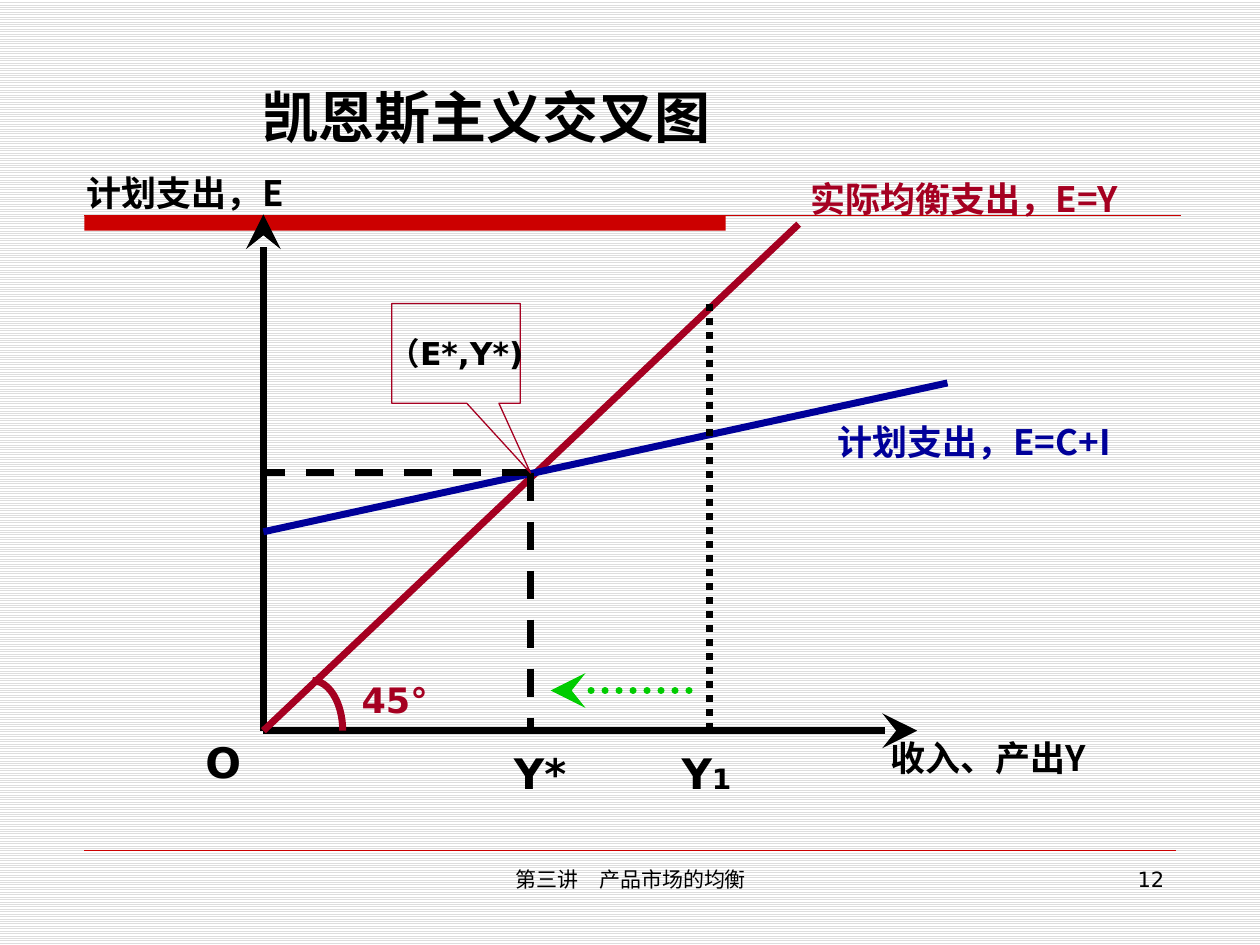
import pptx
import pptx.util
import pptx.oxml.ns
import pptx.dml.color
import pptx.enum.dml
import pptx.enum.shapes
import pptx.enum.text
from lxml import etree

Cm = pptx.util.Cm
RGBColor = pptx.dml.color.RGBColor
SHAPE = pptx.enum.shapes.MSO_SHAPE
ALIGN = pptx.enum.text.PP_ALIGN
ANCHOR = pptx.enum.text.MSO_ANCHOR
DASH = pptx.enum.dml.MSO_LINE
qn = pptx.oxml.ns.qn

BLACK = RGBColor(0x00, 0x00, 0x00)
WHITE = RGBColor(0xFF, 0xFF, 0xFF)
STRIPE = RGBColor(0xDD, 0xDD, 0xDD)
RED = RGBColor(0xCC, 0x00, 0x00)
CRIMSON = RGBColor(0xA5, 0x00, 0x21)
BLUE = RGBColor(0x00, 0x00, 0x99)
GREEN = RGBColor(0x00, 0xCC, 0x00)

SANS = "DejaVu Sans"
CJK = "Noto Sans CJK SC"

# Key points of the diagram, in cm
X0, Y0 = 5.31, 14.73            # origin
X_EQ, Y_EQ = 10.69, 9.53        # equilibrium
X_1 = 14.3                      # output Y1
ARC_W, ARC_H = 0.61, 1.01       # radii of the angle mark


def set_background(s):
    fill = s.background.fill
    fill.patterned()
    fill.pattern = pptx.enum.dml.MSO_PATTERN.LIGHT_HORIZONTAL
    fill.fore_color.rgb = STRIPE
    fill.back_color.rgb = WHITE


def add_line(s, start, end, color, width=4, dash=None, arrow=False, round_cap=False):
    c = s.shapes.add_connector(pptx.enum.shapes.MSO_CONNECTOR.STRAIGHT,
                               *(Cm(v) for v in start + end))
    c.line.color.rgb = color
    c.line.width = pptx.util.Pt(width)
    if dash is not None:
        c.line.dash_style = dash
    ln = c.line._get_or_add_ln()
    if round_cap:
        ln.set("cap", "rnd")
    if arrow:
        etree.SubElement(ln, qn("a:tailEnd"), type="stealth", w="lg", len="lg")
    etree.SubElement(c._element.spPr, qn("a:effectLst"))
    return c


def add_outline(s, kind, box, color=None, width=0.75, fill=None):
    sp = s.shapes.add_shape(kind, *(Cm(v) for v in box))
    sp.shadow.inherit = False
    if fill is None:
        sp.fill.background()
    else:
        sp.fill.solid()
        sp.fill.fore_color.rgb = fill
    if color is None:
        sp.line.fill.background()
    else:
        sp.line.color.rgb = color
        sp.line.width = pptx.util.Pt(width)
    return sp


def write_text(sp, runs, font=SANS, color=BLACK, bold=True, align=ALIGN.LEFT,
               anchor=ANCHOR.TOP, wrap=True):
    tf = sp.text_frame
    for name, value in {"word_wrap": wrap, "vertical_anchor": anchor}.items():
        setattr(tf, name, value)
    p = tf.paragraphs[0]
    p.alignment = align
    for text, size in runs:
        r = p.add_run()
        r.text = text
        formats = {"name": font, "size": pptx.util.Pt(size), "bold": bold}
        for name, value in formats.items():
            setattr(r.font, name, value)
        r.font.color.rgb = color
        etree.SubElement(r._r.get_or_add_rPr(), qn("a:ea"), typeface=font)


def add_label(s, box, runs, **formats):
    sp = s.shapes.add_textbox(*(Cm(v) for v in box))
    write_text(sp, runs, **formats)


def add_frame(s):
    # Title with the bar below it, and the footer
    add_outline(s, SHAPE.RECTANGLE, (1.7, 4.34, 12.93, 0.31), fill=RED)
    add_line(s, (1.7, 4.34), (23.8, 4.34), RED, 0.75)
    add_line(s, (1.7, 17.15), (23.7, 17.15), RED, 0.25)
    add_label(s, (1.5, 1.04, 16.61, 2.11), [("凯恩斯主义交叉图", 32)],
              font=CJK, align=ALIGN.CENTER, anchor=ANCHOR.BOTTOM)
    add_label(s, (8.69, 17.35, 8.05, 1.32), [("第三讲　产品市场的均衡", 12)],
              bold=False, align=ALIGN.CENTER)
    add_label(s, (18.21, 17.35, 5.51, 1.32), [("12", 12)],
              bold=False, align=ALIGN.RIGHT)


def add_curves(s):
    # Axes
    for end in ((X0, 4.32), (18.49, Y0)):
        add_line(s, (X0, Y0), end, BLACK, arrow=True)
    # 45-degree line with its angle, and planned expenditure
    add_line(s, (X0, Y0), (16.1, 4.52), CRIMSON)
    add_outline(s, SHAPE.ARC, (6.3 - ARC_W, Y0 - ARC_H, 2 * ARC_W, 2 * ARC_H),
                CRIMSON, 4)
    add_line(s, (X0, 10.72), (19.1, 7.72), BLUE)
    # Guides from the equilibrium to both axes
    for end in ((X_EQ, Y0), (X0, Y_EQ)):
        add_line(s, (X_EQ, Y_EQ), end, BLACK, dash=DASH.DASH)
    # Output above equilibrium and the move back
    add_line(s, (X_1, 6.12), (X_1, Y0), BLACK, dash=DASH.ROUND_DOT)
    add_line(s, (13.89, 13.92), (11.1, 13.92), GREEN, dash=DASH.ROUND_DOT,
             arrow=True, round_cap=True)


def add_labels(s):
    # Callout on the equilibrium point
    sp = add_outline(s, SHAPE.RECTANGULAR_CALLOUT, (7.9, 6.12, 2.59, 2.01), CRIMSON)
    sp.adjustments[0] = 0.58
    sp.adjustments[1] = 1.2
    write_text(sp, [("（E*,Y*)", 18)], align=ALIGN.CENTER,
               anchor=ANCHOR.MIDDLE, wrap=False)
    # Names of curves and axes
    for box, text, color in (
            ((16.08, 3.45, 7.59, 1.12), "实际均衡支出，E=Y", CRIMSON),
            ((16.64, 8.36, 6.07, 1.09), "计划支出，E=C+I", BLUE),
            ((1.5, 3.33, 4.8, 1.09), "计划支出，E", BLACK),
            ((17.7, 14.73, 4.8, 1.12), "收入、产出Y", BLACK)):
        add_label(s, box, [(text, 20)], font=CJK, color=color)
    # Marks on the axes and the angle
    add_label(s, (7.04, 13.56, 2.26, 1.09), [("45°", 20)], color=CRIMSON)
    add_label(s, (3.89, 14.73, 1.19, 1.27), [("O", 24)])
    add_label(s, (10.11, 14.94, 1.93, 1.27), [("Y*", 24)])
    add_label(s, (13.49, 14.94, 1.6, 1.27), [("Y", 24), ("1", 16)])


def main():
    prs = pptx.Presentation()
    prs.slide_width, prs.slide_height = Cm(25.4), Cm(19.05)
    s = prs.slides.add_slide(prs.slide_layouts[6])
    set_background(s)
    add_frame(s)
    add_curves(s)
    add_labels(s)
    prs.save("out.pptx")


if __name__ == "__main__":
    main()
